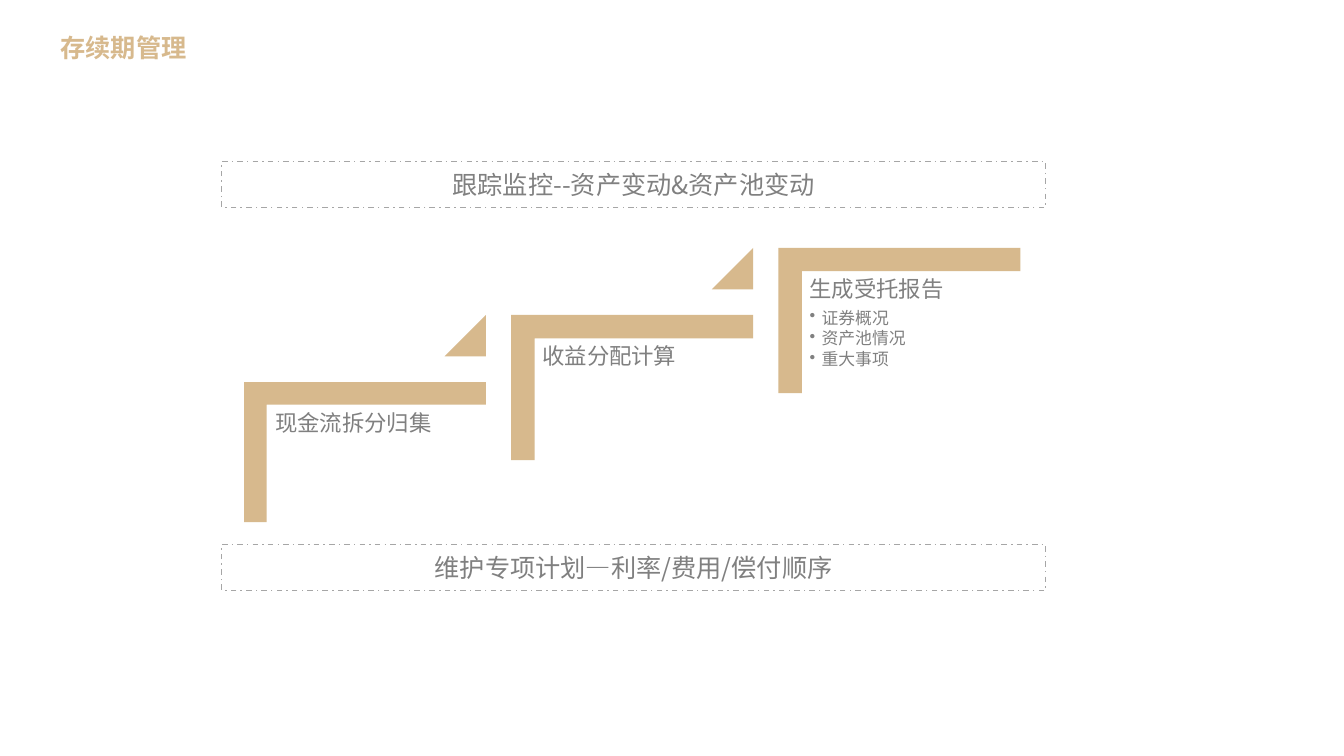
from dataclasses import dataclass

from lxml import etree
from pptx import Presentation
from pptx.dml.color import RGBColor
from pptx.enum.dml import MSO_LINE
from pptx.enum.shapes import MSO_SHAPE
from pptx.enum.text import MSO_ANCHOR, MSO_AUTO_SIZE, PP_ALIGN
from pptx.oxml.ns import qn
from pptx.util import Emu, Inches, Pt

CORNER, TRIANGLE, RECT = MSO_SHAPE.CORNER, MSO_SHAPE.ISOSCELES_TRIANGLE, MSO_SHAPE.RECTANGLE
DASH = MSO_LINE.DASH_DOT
TOP, MIDDLE = MSO_ANCHOR.TOP, MSO_ANCHOR.MIDDLE
LEFT, CENTER = PP_ALIGN.LEFT, PP_ALIGN.CENTER
GROW = MSO_AUTO_SIZE.SHAPE_TO_FIT_TEXT

FONT = "Noto Sans CJK SC"
COLORS = {"gold": "D7B98D", "text": "808080", "line": "A6A6A6"}
CELL = Inches(1) / 12  # the slide is 160 columns by 90 rows

# Staircase, in columns and rows
START_X, START_Y = 29.04, 45.48
PITCH, RISE = 31.8, 7.98
ARM = 28.8
NOTE_X, NOTE_Y, NOTE_W, NOTE_H = 2.88, 2.7, 26.04, 22.8
MARK_X, MARK = 23.88, 4.92


@dataclass
class Step:
    head: str
    drop: float
    items: tuple[str, ...] = ()


@dataclass
class Banner:
    row: float
    text: str


STEPS = [
    Step("现金流拆分归集", 16.68),
    Step("收益分配计算", 17.28),
    Step("生成受托报告", 17.28, ("证券概况", "资产池情况", "重大事项")),
]
BANNERS = [
    Banner(64.8, "维护专项计划—利率/费用/偿付顺序"),
    Banner(19.2, "跟踪监控--资产变动&资产池变动"),
]


def box(col: float, row: float, cols: float, rows: float) -> list[Emu]:
    """Turn grid units into left, top, width and height."""
    return [Emu(round(n * CELL)) for n in (col, row, cols, rows)]


def add_run(para, text: str, size: float, color: str, bold: bool = False) -> None:
    run = para.add_run()
    run.text = text
    font = run.font
    font.name, font.size, font.bold = FONT, Pt(size), bold
    font.color.rgb = RGBColor.from_string(COLORS[color])
    east = etree.SubElement(run._r.get_or_add_rPr(), qn("a:ea"))
    east.set("typeface", FONT)


def indent(para, left: float, first: float) -> None:
    props = para._p.get_or_add_pPr()
    props.set("marL", str(Inches(left)))
    props.set("indent", str(Inches(first)))


def add_bullet(para) -> None:
    indent(para, 0.12, -0.12)
    mark = etree.SubElement(para._p.get_or_add_pPr(), qn("a:buChar"))
    mark.set("char", "•")


def add_form(slide, kind, place: list[Emu], *adjs: float):
    """Add a flat gold shape without an outline."""
    form = slide.shapes.add_shape(kind, *place)
    form.shadow.inherit = False
    form.fill.solid()
    form.fill.fore_color.rgb = RGBColor.from_string(COLORS["gold"])
    form.line.fill.background()
    for i, adj in enumerate(adjs):
        form.adjustments[i] = adj
    return form


def add_title(slide, text: str) -> None:
    title = slide.shapes.title
    title.left, title.top, title.width, title.height = box(0, 2.76, 156.96, 5.04)
    frame = title.text_frame
    frame.word_wrap, frame.auto_size, frame.vertical_anchor = True, GROW, TOP
    para = frame.paragraphs[0]
    para.alignment, para.line_spacing, para.space_before = LEFT, 1.15, Pt(24)
    indent(para, 0, 0.5)
    add_run(para, text, 18, "gold", True)


def add_note(slide, step: Step, col: float, row: float) -> None:
    note = slide.shapes.add_textbox(*box(col, row, NOTE_W, NOTE_H))
    frame = note.text_frame
    frame.word_wrap = True
    frame.margin_left = frame.margin_right = Inches(0.07)
    frame.margin_top = frame.margin_bottom = Inches(0.07)
    head = frame.paragraphs[0]
    head.line_spacing, head.space_after = 0.9, Pt(5.6)
    add_run(head, step.head, 16, "text")
    for item in step.items:
        para = frame.add_paragraph()
        para.line_spacing, para.space_after = 0.9, Pt(1.8)
        add_bullet(para)
        add_run(para, item, 12, "text")


def add_step(slide, rank: int, step: Step) -> None:
    col, row = START_X + rank * PITCH, START_Y - rank * RISE
    # The corner is laid out upright, then turned about its centre.
    shift = (ARM - step.drop) / 2
    place = box(col + shift, row - shift, step.drop, ARM)
    add_form(slide, CORNER, place, 0.161, 0.161).rotation = 90
    add_note(slide, step, col + NOTE_X, row + NOTE_Y)
    if rank < len(STEPS) - 1:
        add_form(slide, TRIANGLE, box(col + MARK_X, row - RISE, MARK, MARK), 1)


def add_banner(slide, banner: Banner) -> None:
    form = slide.shapes.add_shape(RECT, *box(26.4, banner.row, 98.04, 5.52))
    form.shadow.inherit = False
    form.fill.background()
    form.line.color.rgb = RGBColor.from_string(COLORS["line"])
    form.line.width, form.line.dash_style = Pt(1), DASH
    frame = form.text_frame
    frame.word_wrap, frame.vertical_anchor = True, MIDDLE
    para = frame.paragraphs[0]
    para.alignment = CENTER
    add_run(para, banner.text, 18, "text")


def main() -> None:
    deck = Presentation()
    deck.slide_width, deck.slide_height = Inches(13.33), Inches(7.5)
    slide = deck.slides.add_slide(deck.slide_layouts[5])
    add_title(slide, "存续期管理")
    for rank, step in enumerate(STEPS):
        add_step(slide, rank, step)
    for banner in BANNERS:
        add_banner(slide, banner)
    deck.save("out.pptx")


if __name__ == "__main__":
    main()
